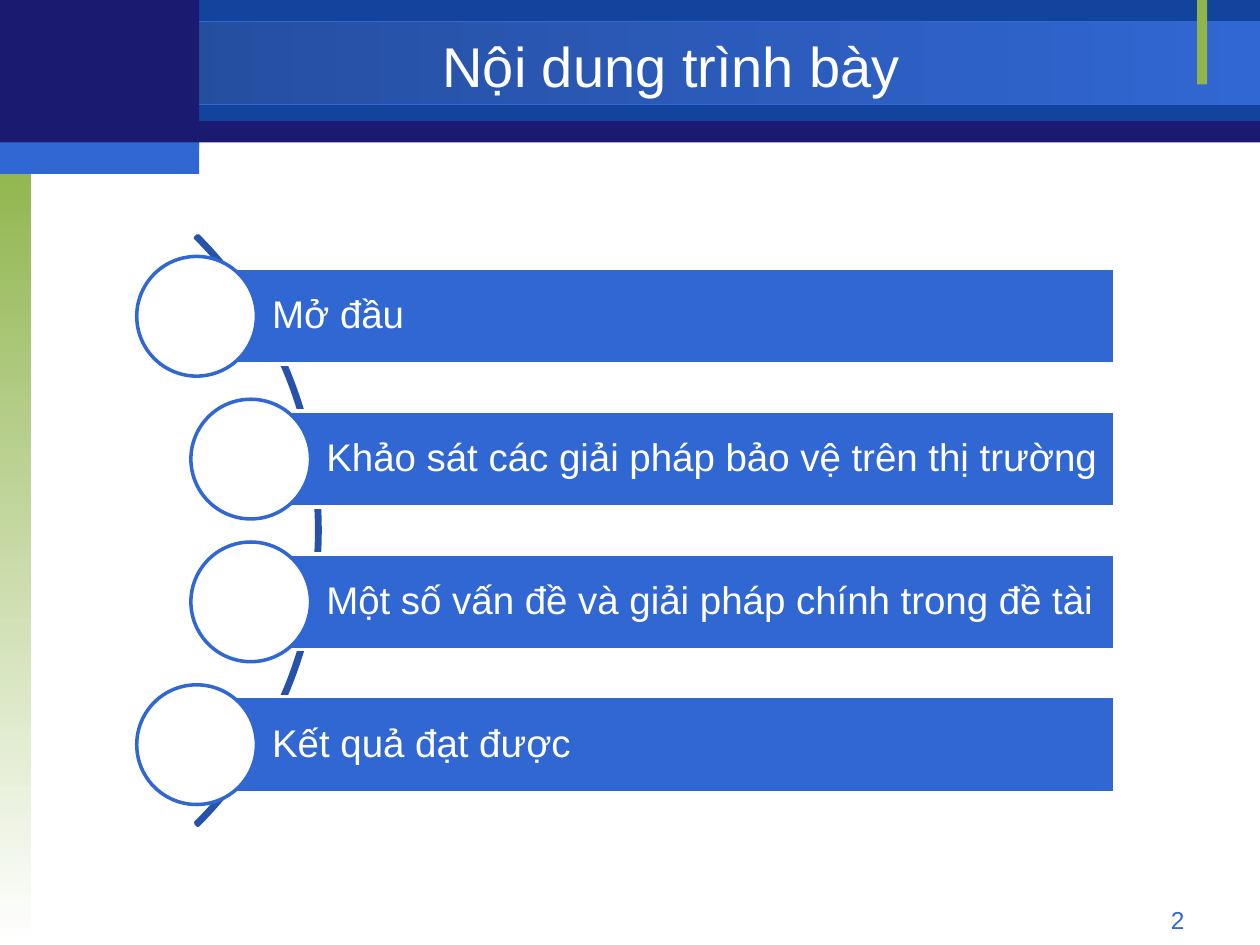
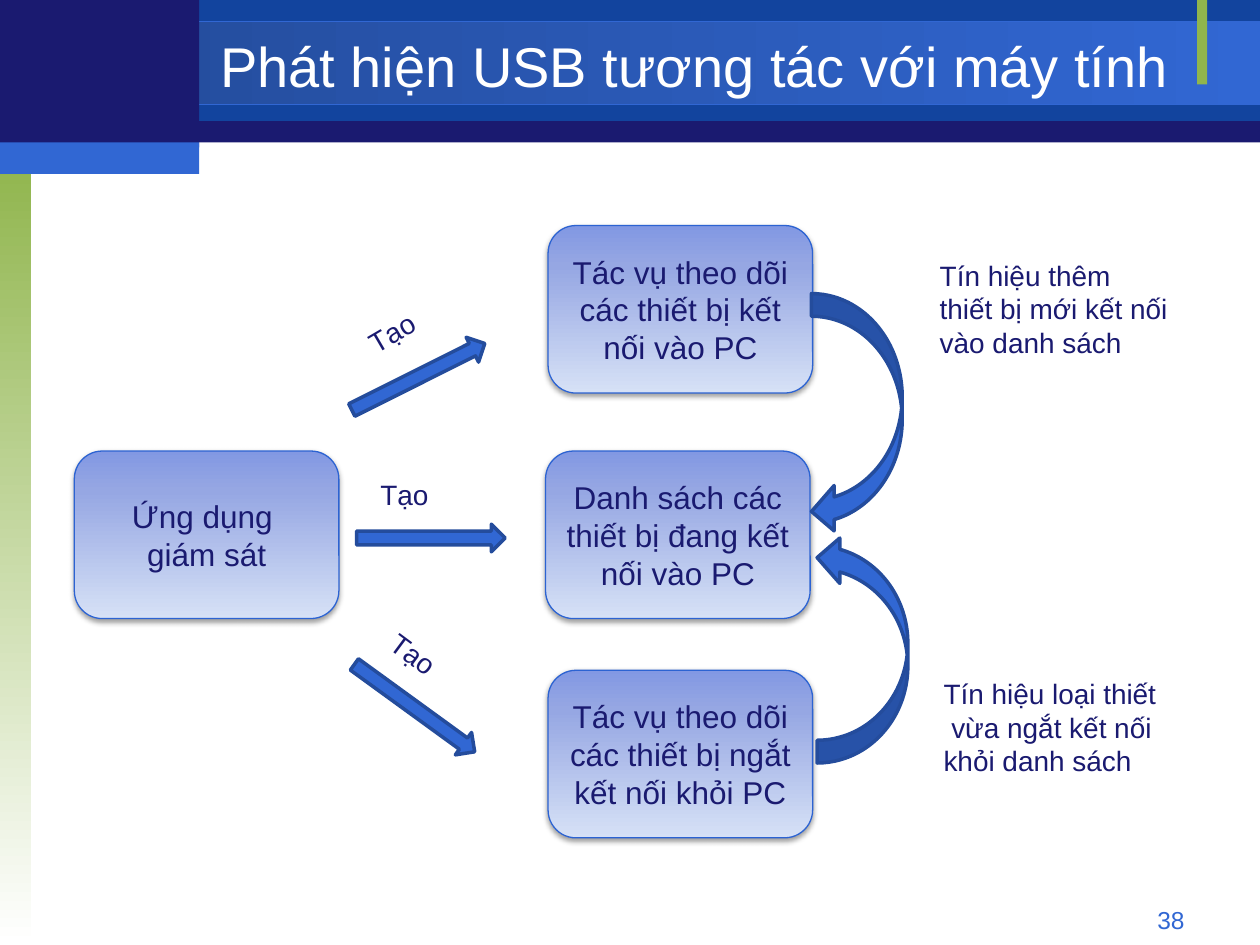
from lxml import etree
from pptx import Presentation
from pptx.dml.color import RGBColor
from pptx.enum.shapes import MSO_SHAPE
from pptx.enum.text import MSO_ANCHOR, PP_ALIGN
from pptx.oxml.ns import qn
from pptx.util import Inches, Pt

NAVY = RGBColor(0x1A, 0x1A, 0x70)
DEEP_BLUE = RGBColor(0x12, 0x44, 0x9E)
STEEL_BLUE = RGBColor(0x23, 0x4A, 0x97)
BLUE = RGBColor(0x31, 0x67, 0xD3)
ARC_BLUE = RGBColor(0x27, 0x52, 0xA9)
ARROW_EDGE = RGBColor(0x24, 0x4C, 0x9C)
BOX_EDGE = RGBColor(0x2C, 0x63, 0xD2)
BOX_TOP = RGBColor(0x82, 0x98, 0xE3)
BOX_MIDDLE = RGBColor(0x96, 0xA7, 0xE3)
BOX_BOTTOM = RGBColor(0xD6, 0xE1, 0xF6)
GREEN = RGBColor(0x90, 0xB5, 0x4D)
WHITE = RGBColor(0xFF, 0xFF, 0xFF)
BLACK = RGBColor(0x00, 0x00, 0x00)

RECTANGLE = MSO_SHAPE.RECTANGLE
ROUNDED = MSO_SHAPE.ROUNDED_RECTANGLE
OVAL = MSO_SHAPE.OVAL
BLOCK_ARC = MSO_SHAPE.BLOCK_ARC
RIGHT_ARROW = MSO_SHAPE.RIGHT_ARROW
CURVED_LEFT = MSO_SHAPE.CURVED_LEFT_ARROW
CURVED_UP = MSO_SHAPE.CURVED_UP_ARROW
LEFT, CENTER, RIGHT = PP_ALIGN.LEFT, PP_ALIGN.CENTER, PP_ALIGN.RIGHT
TOP, MIDDLE = MSO_ANCHOR.TOP, MSO_ANCHOR.MIDDLE

FONT = "Arial"
TITLE_STYLE = {"size": 32, "color": WHITE, "align": CENTER, "anchor": MIDDLE}
NUMBER_STYLE = {"size": 14, "color": BLUE, "align": RIGHT}
BAR_STYLE = {"size": 22, "color": WHITE, "anchor": MIDDLE, "line_spacing": 0.9,
             "margins": {"margin_left": 0.6, "margin_right": 0.06,
                         "margin_top": 0.06, "margin_bottom": 0.06}}
BOX_STYLE = {"size": 18, "color": NAVY, "align": CENTER, "anchor": MIDDLE}
NOTE_STYLE = {"size": 16, "color": NAVY, "margins": {"margin_right": 0}}


def color_element(parent, color, alpha=None):
    element = etree.SubElement(parent, qn("a:srgbClr"), val=str(color))
    if alpha is not None:
        etree.SubElement(element, qn("a:alpha"), val=str(alpha * 1000))


def set_gradient(shape, stops, angle):
    shape.fill.gradient()
    shape.fill.gradient_angle = angle
    stop_list = shape.element.spPr.find(qn("a:gradFill")).find(qn("a:gsLst"))
    for stop in list(stop_list):
        stop_list.remove(stop)
    for position, color in stops:
        stop = etree.SubElement(stop_list, qn("a:gs"), pos=str(position * 1000))
        color_element(stop, color)


def set_drop_shadow(shape):
    effects = shape.element.spPr.find(qn("a:effectLst"))
    shadow = etree.SubElement(effects, qn("a:outerShdw"), blurRad=str(Pt(3.1)),
                              dist=str(Pt(1.6)), dir="5400000", rotWithShape="0")
    color_element(shadow, BLACK, 38)


def add_shape(slide, kind, box, fill=None, line=None, width=2, rotation=0):
    shape = slide.shapes.add_shape(kind, *map(Inches, box))
    shape.shadow.inherit = False
    shape.rotation = rotation
    if fill is None:
        shape.fill.background()
    else:
        shape.fill.solid()
        shape.fill.fore_color.rgb = fill
    if line is None:
        shape.line.fill.background()
    else:
        shape.line.color.rgb = line
        shape.line.width = Pt(width)
    return shape


def write_text(shape, text, style):
    frame = shape.text_frame
    frame.word_wrap = True
    frame.vertical_anchor = style.get("anchor", TOP)
    for name, value in style.get("margins", {}).items():
        setattr(frame, name, Inches(value))
    frame.text = text
    paragraph_format = {"alignment": style.get("align", LEFT),
                        "line_spacing": style.get("line_spacing")}
    font_format = {"name": FONT, "size": Pt(style["size"])}
    for paragraph in frame.paragraphs:
        for name, value in paragraph_format.items():
            setattr(paragraph, name, value)
        for run in paragraph.runs:
            for name, value in font_format.items():
                setattr(run.font, name, value)
            run.font.color.rgb = style["color"]


def add_text(slide, box, text, style, rotation=0):
    text_box = slide.shapes.add_textbox(*map(Inches, box))
    text_box.rotation = rotation
    write_text(text_box, text, style)


def add_frame(slide, title, title_width, number):
    corner = 1.58
    add_shape(slide, RECTANGLE, (0, 0.01, 10, 1.12), NAVY)
    add_shape(slide, RECTANGLE, (corner, 0, 10 - corner, 0.96), DEEP_BLUE)
    title_band = add_shape(slide, RECTANGLE, (0, 0.17, 10, 0.66), line=BLUE, width=0.75)
    set_gradient(title_band, [(0, STEEL_BLUE), (100, BLUE)], 0)
    side_strip = add_shape(slide, RECTANGLE, (0, 1.25, 0.25, 6.25))
    set_gradient(side_strip, [(0, GREEN), (100, WHITE)], 270)
    add_shape(slide, RECTANGLE, (9.5, 0, 0.08, 0.67), GREEN)
    add_shape(slide, RECTANGLE, (0, 0, corner, 1.17), NAVY)
    add_shape(slide, RECTANGLE, (0, 1.13, corner, 0.25), BLUE)
    add_text(slide, (corner, 0.23, title_width, 0.58), title, TITLE_STYLE)
    add_text(slide, (7.17, 7.13, 2.33, 0.27), str(number), NUMBER_STYLE)


def add_agenda(slide, box, topics):
    left, top, width, height = box
    arc_size, bar_height, circle_size = 6.62, 0.76, 0.95
    arc = add_shape(slide, BLOCK_ARC,
                    (left + 0.98 - arc_size, top + (height - arc_size) / 2,
                     arc_size, arc_size), line=ARC_BLUE)
    for index, value in enumerate((189, 27, 0.004)):
        arc.adjustments[index] = value
    step = (height - bar_height) / (len(topics) - 1)
    for index, topic in enumerate(topics):
        indent = 0 if index in (0, len(topics) - 1) else 0.43
        bar_left, bar_top = left + indent, top + index * step
        bar = add_shape(slide, RECTANGLE,
                        (bar_left, bar_top, width - indent, bar_height), BLUE, WHITE)
        write_text(bar, topic, BAR_STYLE)
        add_shape(slide, OVAL, (bar_left - circle_size / 2,
                                bar_top + (bar_height - circle_size) / 2,
                                circle_size, circle_size), WHITE, BLUE)


def add_task_box(slide, left, top, text):
    shape = add_shape(slide, ROUNDED, (left, top, 2.1, 1.33), line=BOX_EDGE, width=0.75)
    set_gradient(shape, [(0, BOX_TOP), (24, BOX_MIDDLE), (100, BOX_BOTTOM)], 270)
    set_drop_shadow(shape)
    write_text(shape, text, BOX_STYLE)


def add_detection_diagram(slide, left, top):
    tasks = [
        (3.74, 1.79, "Danh sách các thiết bị đang kết nối vào PC"),
        (3.76, 0, "Tác vụ theo dõi các thiết bị kết nối vào PC"),
        (3.76, 3.53, "Tác vụ theo dõi các thiết bị ngắt kết nối khỏi PC"),
        (0, 1.79, "Ứng dụng \ngiám sát"),
    ]
    create_arrows = [(2.14, 1.09, 333.4), (2.24, 2.37, 0), (2.11, 3.72, 36)]
    create_labels = [(2.22, 0.63, 0.72, 329.7), (2.33, 1.95, 0.72, 0),
                     (2.4, 3.22, 0.59, 36.6)]
    signals = [
        (6.77, 0.21, 2.09, "Tín hiệu thêm\nthiết bị mới kết nối\nvào danh sách"),
        (6.8, 3.53, 1.89, "Tín hiệu loại thiết\v vừa ngắt kết nối khỏi danh sách"),
    ]
    signal_arrows = [(CURVED_LEFT, 5.85, 0.54, 0.72, 1.91, 0),
                     (CURVED_UP, 5.35, 3, 1.81, 0.72, 270)]
    for x, y, text in tasks:
        add_task_box(slide, left + x, top + y, text)
    for x, y, rotation in create_arrows:
        add_shape(slide, RIGHT_ARROW, (left + x, top + y, 1.18, 0.22),
                  BLUE, ARROW_EDGE, rotation=rotation)
    for x, y, width, rotation in create_labels:
        add_text(slide, (left + x, top + y, width, 0.37), "Tạo", NOTE_STYLE, rotation)
    for x, y, width, text in signals:
        add_text(slide, (left + x, top + y, width, 0.91), text, NOTE_STYLE)
    for kind, x, y, width, height, rotation in signal_arrows:
        add_shape(slide, kind, (left + x, top + y, width, height),
                  BLUE, ARROW_EDGE, rotation=rotation)


def main():
    presentation = Presentation()
    presentation.slide_width = Inches(10)
    presentation.slide_height = Inches(7.5)
    blank = presentation.slide_layouts[6]

    agenda = presentation.slides.add_slide(blank)
    add_frame(agenda, "Nội dung trình bày", 7.5, 2)
    add_agenda(agenda, (1.56, 2.13, 7.29, 4.16), [
        "Mở đầu",
        "Khảo sát các giải pháp bảo vệ trên thị trường",
        "Một số vấn đề và giải pháp chính trong đề tài",
        "Kết quả đạt được",
    ])

    detection = presentation.slides.add_slide(blank)
    add_frame(detection, "Phát hiện USB tương tác với máy tính", 7.87, 38)
    add_detection_diagram(detection, 0.59, 1.79)

    presentation.save("out.pptx")


if __name__ == "__main__":
    main()
